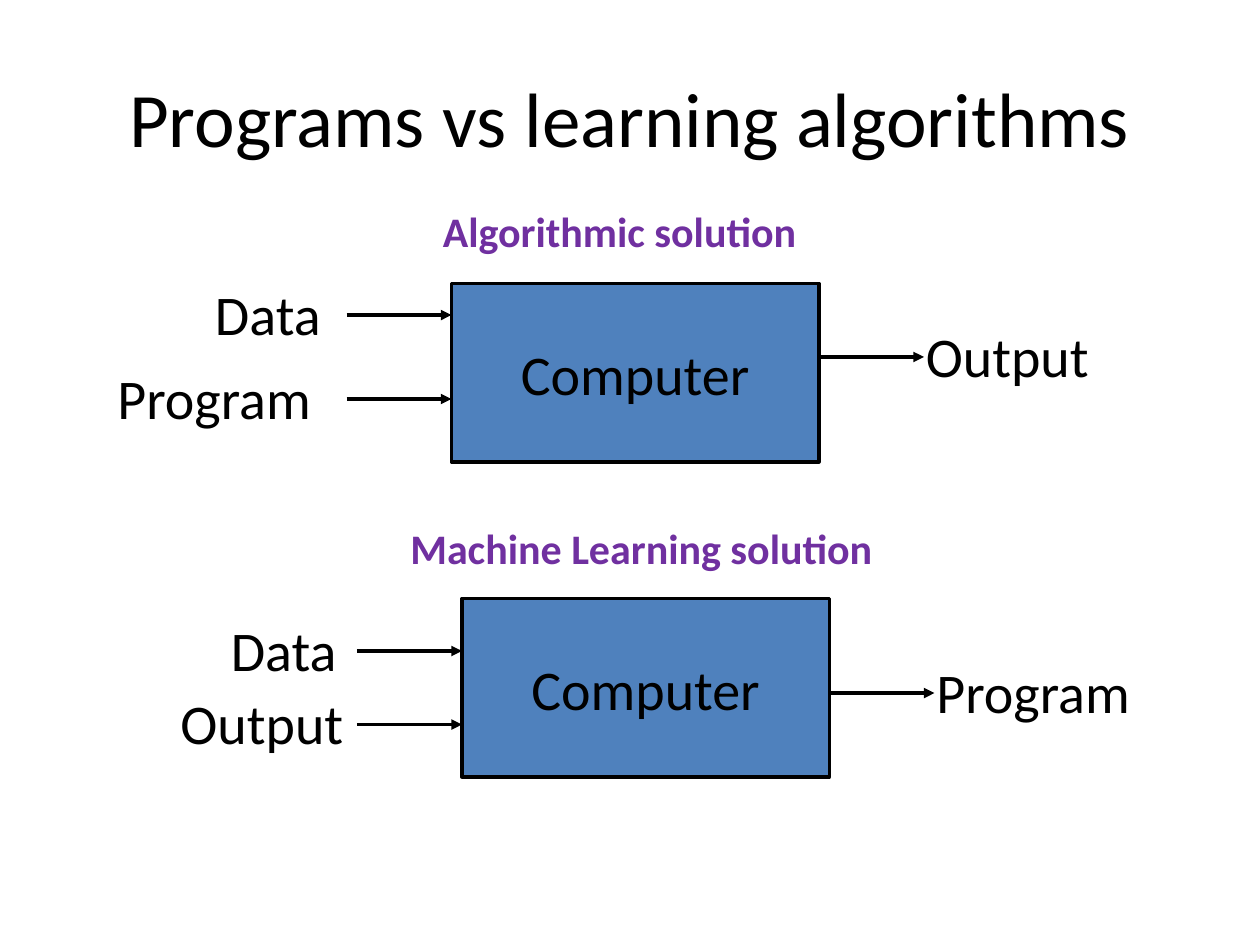
from dataclasses import dataclass

from lxml.etree import SubElement
from pptx import Presentation
from pptx.dml.color import RGBColor
from pptx.enum.shapes import MSO_CONNECTOR, MSO_SHAPE
from pptx.enum.text import MSO_ANCHOR, PP_ALIGN
from pptx.oxml.ns import qn
from pptx.slide import Slide
from pptx.text.text import TextFrame
from pptx.util import Inches, Pt

BLACK = RGBColor(0x00, 0x00, 0x00)
BLUE = RGBColor(0x4F, 0x81, 0xBD)
PURPLE = RGBColor(0x70, 0x30, 0xA0)
FONT = "Calibri"

COLS, ROWS = 120, 90
WIDTH, HEIGHT = Inches(10), Inches(7.5)
BOX_W, BOX_H = 35, 17
ARROW_W = 10
LABEL_H = 7.6
LABEL_RISE = 4


@dataclass
class Label:
    text: str
    col: float
    width: float
    row: float


@dataclass
class Diagram:
    heading: Label
    col: float
    row: float
    inputs: list[Label]
    output: Label


DIAGRAMS = [
    Diagram(
        Label("Algorithmic solution", 41, 39, 19), 43, 27,
        [Label("Data", 19.3, 13.7, 30), Label("Program", 10, 22, 38)],
        Label("Output", 87, 18.4, 34),
    ),
    Diagram(
        Label("Machine Learning solution", 37.9, 47, 49.2), 44, 57,
        [Label("Data", 20.8, 13.7, 62), Label("Output", 16, 18.4, 69)],
        Label("Program", 88, 22, 66),
    ),
]


def x(col: float) -> int:
    return round(WIDTH * col / COLS)


def y(row: float) -> int:
    return round(HEIGHT * row / ROWS)


def write(tf: TextFrame, text: str, size: int, color: RGBColor = BLACK,
          bold: bool = False, align: PP_ALIGN = PP_ALIGN.LEFT) -> None:
    tf.text = text
    p = tf.paragraphs[0]
    p.alignment = align
    font = p.runs[0].font
    font.name, font.size, font.bold = FONT, Pt(size), bold
    font.color.rgb = color


def add_label(s: Slide, label: Label, row: float, height: float, size: int,
              color: RGBColor = BLACK, bold: bool = False) -> None:
    sp = s.shapes.add_textbox(x(label.col), y(row), x(label.width), y(height))
    sp.text_frame.word_wrap = False
    write(sp.text_frame, label.text, size, color, bold)


def add_arrow(s: Slide, col: float, row: float) -> None:
    line = s.shapes.add_connector(
        MSO_CONNECTOR.STRAIGHT, x(col), y(row), x(col + ARROW_W), y(row))
    line.line.color.rgb = BLACK
    line.line.width = Pt(2)
    SubElement(line.line._get_or_add_ln(), qn("a:tailEnd"), type="triangle")
    SubElement(line._element.spPr, qn("a:effectLst"))


def add_box(s: Slide, col: float, row: float) -> None:
    sp = s.shapes.add_shape(
        MSO_SHAPE.RECTANGLE, x(col), y(row), x(BOX_W), y(BOX_H))
    sp.shadow.inherit = False
    sp.fill.solid()
    sp.fill.fore_color.rgb = BLUE
    sp.line.color.rgb = BLACK
    sp.line.width = Pt(2)
    tf = sp.text_frame
    tf.word_wrap = False
    tf.vertical_anchor = MSO_ANCHOR.MIDDLE
    write(tf, "Computer", 32, align=PP_ALIGN.CENTER)


def add_diagram(s: Slide, d: Diagram) -> None:
    add_label(s, d.heading, d.heading.row, 6, 24, PURPLE, True)
    add_box(s, d.col, d.row)
    for label in [*d.inputs, d.output]:
        add_label(s, label, label.row - LABEL_RISE, LABEL_H, 32)
    for label in d.inputs:
        add_arrow(s, d.col - ARROW_W, label.row)
    add_arrow(s, d.col + BOX_W, d.output.row)


def add_title(s: Slide, text: str) -> None:
    sp = s.shapes.title
    sp.left, sp.top, sp.width, sp.height = x(6), y(3.6), x(108), y(15)
    sp.text_frame.vertical_anchor = MSO_ANCHOR.MIDDLE
    write(sp.text_frame, text, 44, align=PP_ALIGN.CENTER)


def main() -> None:
    prs = Presentation()
    prs.slide_width, prs.slide_height = WIDTH, HEIGHT
    s = prs.slides.add_slide(prs.slide_layouts.get_by_name("Title Only"))
    add_title(s, "Programs vs learning algorithms")
    for d in DIAGRAMS:
        add_diagram(s, d)
    prs.save("out.pptx")


if __name__ == "__main__":
    main()
